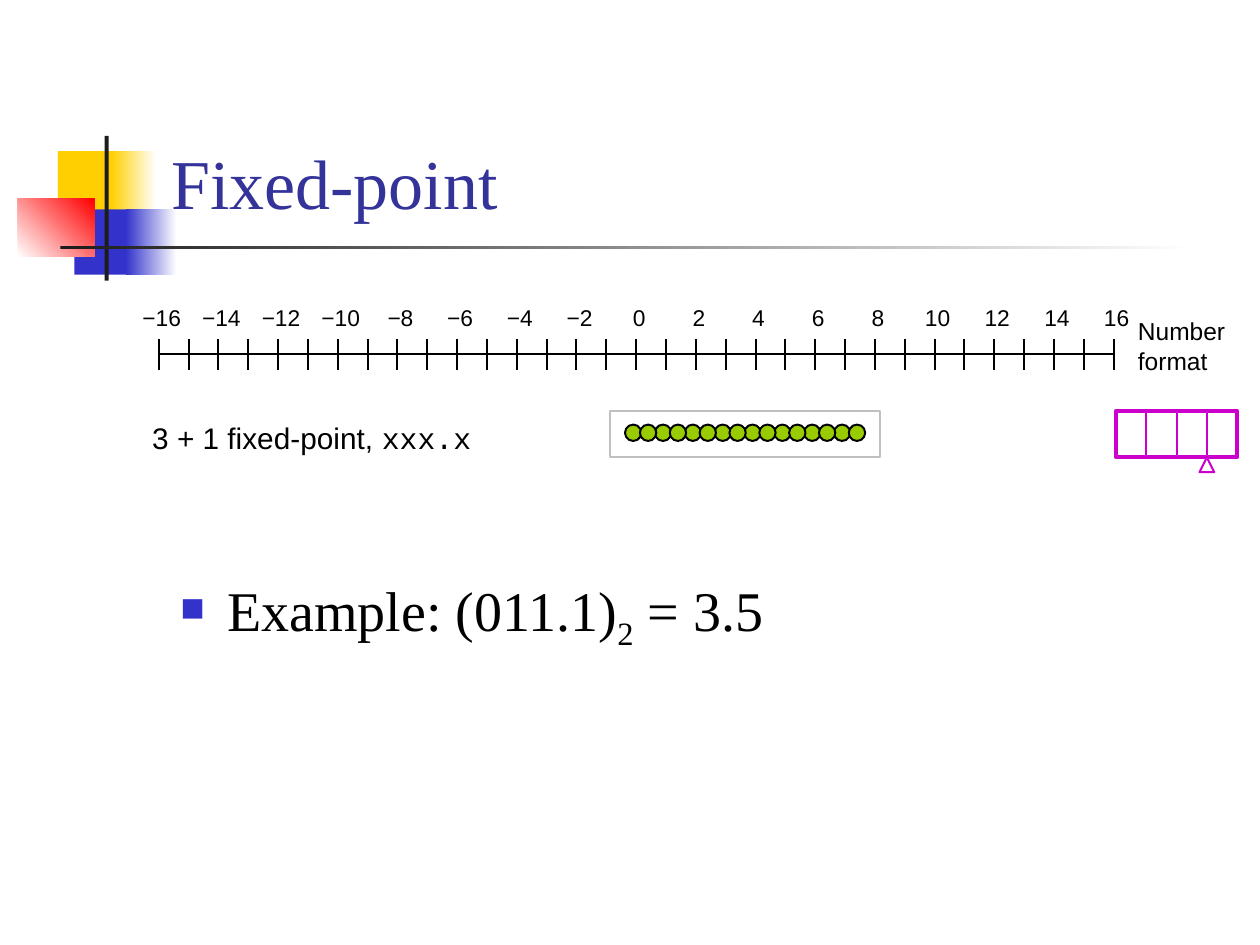
from lxml import etree
from pptx import Presentation
from pptx.dml.color import RGBColor
from pptx.enum.shapes import MSO_CONNECTOR, MSO_SHAPE
from pptx.enum.text import MSO_ANCHOR, PP_ALIGN
from pptx.oxml.ns import qn
from pptx.util import Cm, Pt

RECT, OVAL, TRIANGLE = MSO_SHAPE.RECTANGLE, MSO_SHAPE.OVAL, MSO_SHAPE.ISOSCELES_TRIANGLE
STRAIGHT = MSO_CONNECTOR.STRAIGHT
LEFT, CENTER = PP_ALIGN.LEFT, PP_ALIGN.CENTER
SERIF, SANS, MONO = "Times New Roman", "Arial", "Courier New"
BLACK, WHITE, BLUE, MAGENTA, GREEN = "000000", "FFFFFF", "3333CC", "CC00CC", "99CC00"
YELLOW, RED, DARK, GRAY, TITLE_BLUE = "FFCF01", "FF0000", "1C1C1C", "C0C0C0", "333399"
THIN, THICK = 1.13, 2.13

TITLE = "Fixed-point"
FORMAT_NAME = [("3 + 1 fixed-point, ", SANS), ("xxx.x", MONO)]
FORMAT_HEADING = ["Number", "format"]
EXAMPLE = [("Example: (011.1)", 0), ("2", -25000), (" = 3.5", 0)]

# box in cm, then a plain colour or (start, end, angle)
DECORATION = [
    ((1.17, 3.05, 1.22, 1.32), YELLOW),
    ((2.24, 3.05, 0.91, 1.32), (YELLOW, WHITE, 0)),
    ((1.5, 4.22, 1.17, 1.32), BLUE),
    ((2.54, 4.22, 1.02, 1.32), (BLUE, WHITE, 0)),
    ((0.36, 4.01, 1.55, 1.17), (WHITE, RED, 45)),
    ((2.11, 2.74, 0.08, 2.92), DARK),
    ((1.22, 4.95, 22.86, 0.08), (DARK, WHITE, 0)),
]

# number line, cm
LOW, HIGH = -16, 16
AXIS_LEFT, AXIS_RIGHT, AXIS_Y, TICK_HALF = 3.2, 22.45, 7.14, 0.31
UNIT = (AXIS_RIGHT - AXIS_LEFT) / (HIGH - LOW)
LABEL_TOP, LABEL_WIDTH, LABEL_SHIFT = 6.12, 1, 0.06
VALUE_COUNT, VALUE_STEP, DOT = 16, 0.5, 0.33
# bit cells, cm
BITS, POINT_AFTER = 4, 3
ROW_TOP, ROW_HEIGHT = 8.28, 0.94
CELLS_LEFT, CELL = 22.5, 0.61
MARK = 0.3


def rgb(color):
    return RGBColor.from_string(color)


def axis_x(value):
    return AXIS_LEFT + (value - LOW) * UNIT


def draw(kind, box, fill=None, line=None, width=THIN):
    """Add a preset shape; no fill or line colour leaves that part empty."""
    shape = slide.shapes.add_shape(kind, *map(Cm, box))
    shape.shadow.inherit = False
    if fill is None:
        shape.fill.background()
    elif isinstance(fill, tuple):
        *colors, angle = fill
        shape.fill.gradient()
        shape.fill.gradient_angle = angle
        for stop, color in zip(shape.fill.gradient_stops, colors):
            stop.color.rgb = rgb(color)
    else:
        shape.fill.solid()
        shape.fill.fore_color.rgb = rgb(fill)
    if line is None:
        shape.line.fill.background()
    else:
        shape.line.color.rgb = rgb(line)
        shape.line.width = Pt(width)


def draw_line(x1, y1, x2, y2):
    line = slide.shapes.add_connector(STRAIGHT, *map(Cm, (x1, y1, x2, y2)))
    line.line.color.rgb = rgb(BLACK)
    line.line.width = Pt(THIN)
    etree.SubElement(line.element.spPr, qn("a:effectLst"))


def style(font, size, name, color=BLACK):
    font.size, font.name = Pt(size), name
    font.color.rgb = rgb(color)


def label(box, lines, size, align=LEFT):
    """Add a text box without margins; each line is a list of (text, font) runs."""
    frame = slide.shapes.add_textbox(*map(Cm, box)).text_frame
    frame.word_wrap = True
    frame.margin_left = frame.margin_right = frame.margin_top = frame.margin_bottom = 0
    for number, runs in enumerate(lines):
        paragraph = frame.add_paragraph() if number else frame.paragraphs[0]
        paragraph.alignment = align
        for text, font in runs:
            run = paragraph.add_run()
            run.text = text
            style(run.font, size, font)


def draw_title():
    title = slide.shapes.title
    title.element.getparent().append(title.element)  # in front of the decoration
    title.left, title.top, title.width, title.height = map(Cm, (3.2, 0.58, 21.64, 4.06))
    title.text_frame.text = TITLE
    title.text_frame.vertical_anchor = MSO_ANCHOR.BOTTOM
    paragraph = title.text_frame.paragraphs[0]
    paragraph.alignment = LEFT
    style(paragraph.runs[0].font, 40, SERIF, TITLE_BLUE)


def draw_example():
    frame = slide.shapes.add_textbox(*map(Cm, (3.38, 11.47, 21.59, 5.51))).text_frame
    frame.word_wrap = True
    paragraph = frame.paragraphs[0]
    properties = paragraph._p.get_or_add_pPr()
    properties.set("marL", str(Cm(0.95)))
    properties.set("indent", str(Cm(-0.95)))
    bullet_color = etree.SubElement(properties, qn("a:buClr"))
    etree.SubElement(bullet_color, qn("a:srgbClr"), val=BLUE)
    etree.SubElement(properties, qn("a:buSzPct"), val="60000")
    etree.SubElement(properties, qn("a:buChar"), char="■")
    for text, baseline in EXAMPLE:
        run = paragraph.add_run()
        run.text = text
        style(run.font, 32, SERIF)
        if baseline:
            run.font._element.set("baseline", str(baseline))


def draw_number_line():
    draw_line(AXIS_LEFT, AXIS_Y, AXIS_RIGHT, AXIS_Y)
    for value in range(LOW, HIGH + 1):
        x = axis_x(value)
        draw_line(x, AXIS_Y - TICK_HALF, x, AXIS_Y + TICK_HALF)
        if value % 2 == 0:
            box = (x + LABEL_SHIFT - LABEL_WIDTH / 2, LABEL_TOP, LABEL_WIDTH, 0.56)
            label(box, [[(str(value).replace("-", "−"), SANS)]], 13, CENTER)


def draw_format_row():
    label((3.07, 8.46, 7, 0.71), [FORMAT_NAME], 17)
    for first in (0, 1):  # half values lie over whole ones
        for index in range(first, VALUE_COUNT, 2):
            left = axis_x(index * VALUE_STEP) - LABEL_SHIFT - DOT / 2
            draw(OVAL, (left, 8.56, DOT, DOT), GREEN, BLACK)
    draw(RECT, (12.29, ROW_TOP, 5.46, ROW_HEIGHT), line=GRAY)

    for bit in range(1, BITS, 2):
        draw(RECT, (CELLS_LEFT + bit * CELL, ROW_TOP, CELL, ROW_HEIGHT), WHITE, MAGENTA)
    draw(RECT, (CELLS_LEFT, ROW_TOP, BITS * CELL, ROW_HEIGHT), line=MAGENTA, width=THICK)
    point_x = CELLS_LEFT + POINT_AFTER * CELL
    draw(TRIANGLE, (point_x - MARK / 2, ROW_TOP + ROW_HEIGHT, MARK, MARK), WHITE, MAGENTA)


prs = Presentation()
prs.slide_width, prs.slide_height = Cm(25.4), Cm(19.05)
slide = prs.slides.add_slide(prs.slide_layouts[5])

for box, fill in DECORATION:
    draw(RECT, box, fill)
draw_title()
draw_example()
draw_number_line()
draw_format_row()
label((22.94, 6.38, 2.2, 1.14), [[(text, SANS)] for text in FORMAT_HEADING], 14)

prs.save("out.pptx")
